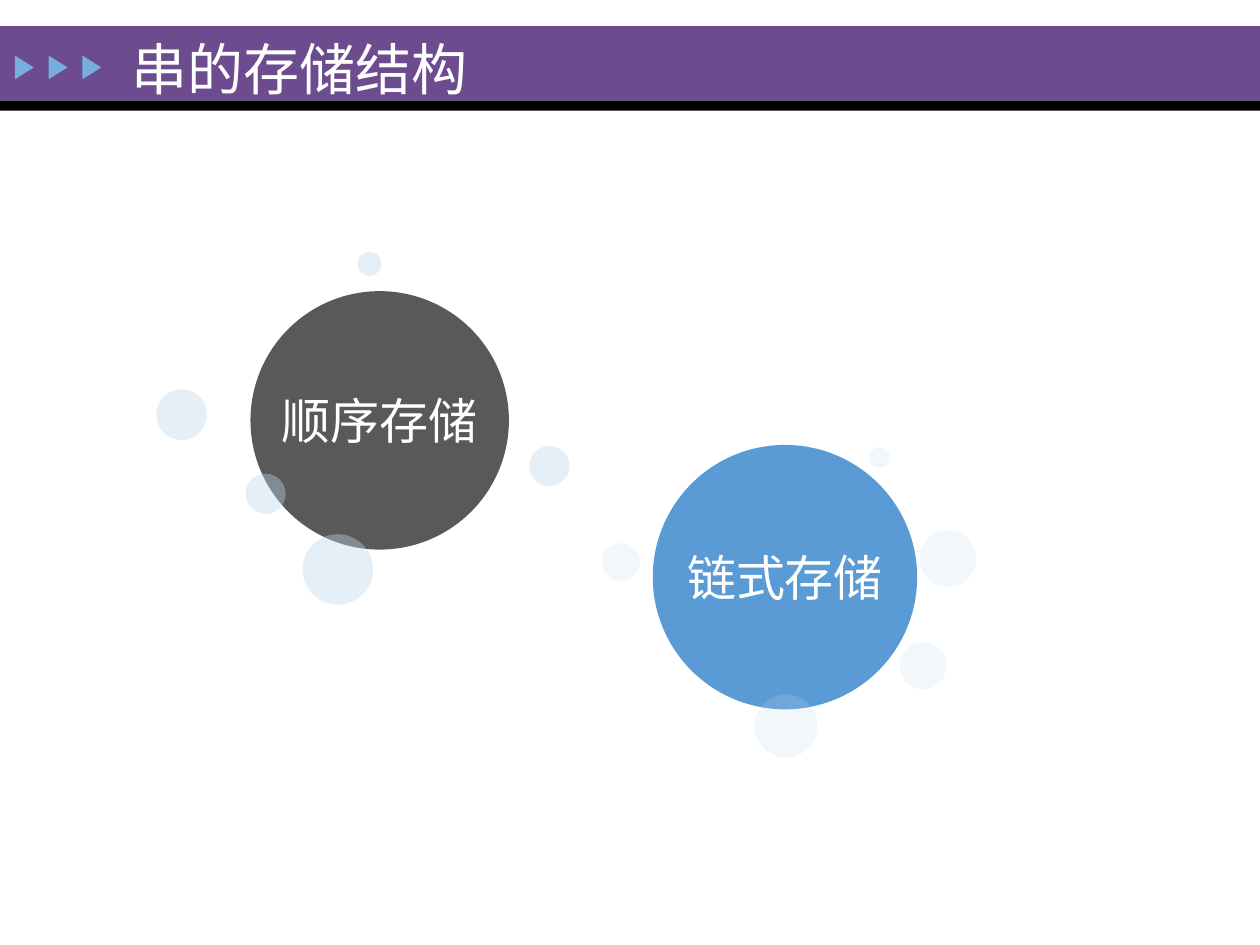
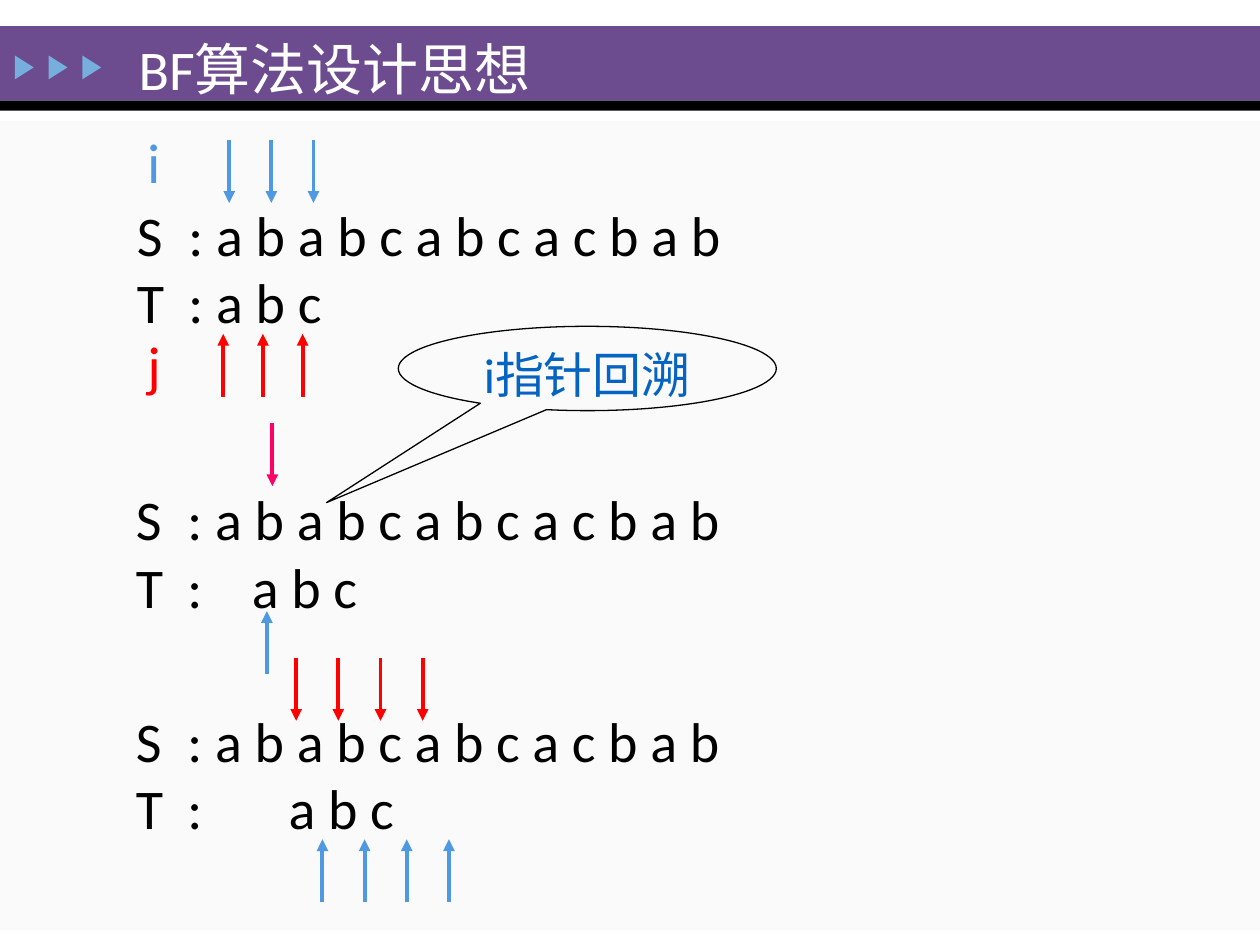
from dataclasses import dataclass

from lxml.etree import SubElement
from pptx import Presentation
from pptx.dml.color import RGBColor
from pptx.enum.shapes import MSO_CONNECTOR, MSO_SHAPE
from pptx.enum.text import MSO_ANCHOR, MSO_AUTO_SIZE, PP_ALIGN
from pptx.oxml.ns import qn
from pptx.presentation import Presentation as Deck
from pptx.shapes.autoshape import Shape
from pptx.slide import Slide, SlideLayout
from pptx.text.text import TextFrame
from pptx.util import Cm, Pt


@dataclass(frozen=True)
class Theme:
    band: str = "6C4C8F"
    black: str = "000000"
    white: str = "FFFFFF"
    mark: str = "76AEDD"
    panel: str = "FAFAFA"
    grey: str = "595959"
    azure: str = "5B9BD5"
    bubble: str = "BDD7EE"
    blue: str = "4F99E2"
    red: str = "FF0000"
    pink: str = "FF0066"
    link: str = "0563C1"
    font: str = "Calibri"
    serif: str = "Times New Roman"
    large: int = 32
    small: int = 28
    arrow: float = 2.25
    thin: float = 0.75


THEME = Theme()


@dataclass(frozen=True)
class Box:
    left: float
    top: float
    width: float
    height: float

    def cms(self) -> tuple[Cm, Cm, Cm, Cm]:
        return Cm(self.left), Cm(self.top), Cm(self.width), Cm(self.height)


@dataclass(frozen=True)
class Disc:
    left: float
    top: float
    size: float

    def box(self) -> Box:
        return Box(self.left, self.top, self.size, self.size)


@dataclass(frozen=True)
class Cluster:
    label: str
    font: str
    fill: str
    core: Disc
    alpha: int
    bubbles: tuple[Disc, ...]


@dataclass(frozen=True)
class Arrows:
    left: float
    start: float
    end: float
    color: str
    count: int = 1
    step: float = 0.85


@dataclass(frozen=True)
class Match:
    box: Box
    shift: int


@dataclass(frozen=True)
class Label:
    text: str
    box: Box
    color: str


CLUSTERS = (
    Cluster("链式存储", THEME.serif, THEME.azure, Disc(13.16, 8.97, 5.33), 20, (
        Disc(12.14, 10.95, 0.76), Disc(15.21, 14, 1.27), Disc(17.53, 9.02, 0.41),
        Disc(18.14, 12.95, 0.94), Disc(18.54, 10.69, 1.14))),
    Cluster("顺序存储", THEME.font, THEME.grey, Disc(5.05, 5.87, 5.21), 40, (
        Disc(10.67, 8.99, 0.81), Disc(4.95, 9.55, 0.81), Disc(6.1, 10.77, 1.42),
        Disc(7.21, 5.08, 0.48), Disc(3.15, 7.85, 1.02))),
)

MATCHES = (
    Match(Box(2.51, 3.91, 20.12, 3), 0),
    Match(Box(2.49, 9.65, 21.39, 3), 1),
    Match(Box(2.49, 14.12, 14.61, 3), 2),
)

LABELS = (
    Label("i", Box(2.72, 2.44, 0.84, 1.6), THEME.blue),
    Label("j", Box(2.72, 6.53, 0.84, 1.63), THEME.red),
)

ARROWS = (
    Arrows(4.62, 2.82, 4.09, THEME.blue, 3),
    Arrows(4.5, 8, 6.73, THEME.red, 3, 0.8),
    Arrows(5.49, 8.53, 9.8, THEME.pink),
    Arrows(5.38, 13.59, 12.32, THEME.blue),
    Arrows(5.97, 13.26, 14.53, THEME.red, 4),
    Arrows(6.5, 18.19, 16.92, THEME.blue, 4),
)


def style(frame: TextFrame, color: str, size: int, font: str = THEME.font,
          align: PP_ALIGN = PP_ALIGN.LEFT) -> None:
    for line in frame.paragraphs:
        line.alignment = align
        for run in line.runs:
            run.font.name = font
            run.font.size = Pt(size)
            run.font.color.rgb = RGBColor.from_string(color)


def add_form(shapes, kind: MSO_SHAPE, box: Box, fill: str | None) -> Shape:
    form = shapes.add_shape(kind, *box.cms())
    form.shadow.inherit = False
    form.line.fill.background()
    if fill:
        form.fill.solid()
        form.fill.fore_color.rgb = RGBColor.from_string(fill)
    else:
        form.fill.background()
    return form


def add_text(slide: Slide, text: str, box: Box, color: str) -> Shape:
    area = slide.shapes.add_textbox(*box.cms())
    frame = area.text_frame
    frame.word_wrap = True
    frame.auto_size = MSO_AUTO_SIZE.SHAPE_TO_FIT_TEXT
    frame.text = text
    style(frame, color, THEME.large)
    return area


def add_banner(slide: Slide, layout: SlideLayout) -> None:
    forms = [
        add_form(slide.shapes, MSO_SHAPE.RECTANGLE, Box(0, 0.53, 25.4, 1.5), THEME.band),
        add_form(slide.shapes, MSO_SHAPE.RECTANGLE, Box(0, 2.03, 25.4, 0.2), THEME.black),
    ]
    for spot in range(3):
        box = Box(0.25 + 0.68 * spot, 1.17, 0.48, 0.38)
        mark = add_form(slide.shapes, MSO_SHAPE.ISOSCELES_TRIANGLE, box, THEME.mark)
        mark.rotation = 90
        forms.append(mark)
    for spot, form in enumerate(forms):
        form.element.nvSpPr.cNvPr.set("id", str(20 + spot))
        layout.shapes.element.insert(2 + spot, form.element)


def set_title(slide: Slide, text: str, left: float, width: float) -> None:
    title = slide.shapes.title
    title.left, title.top, title.width, title.height = Box(left, 0.66, width, 1.42).cms()
    frame = title.text_frame
    frame.text = text
    frame.word_wrap = True
    frame.auto_size = MSO_AUTO_SIZE.NONE
    frame.vertical_anchor = MSO_ANCHOR.MIDDLE
    style(frame, THEME.white, THEME.large)


def add_cluster(slide: Slide, plan: Cluster) -> None:
    group = slide.shapes.add_group_shape()
    core = add_form(group.shapes, MSO_SHAPE.OVAL, plan.core.box(), plan.fill)
    frame = core.text_frame
    frame.text = plan.label
    frame.word_wrap = False
    frame.vertical_anchor = MSO_ANCHOR.MIDDLE
    frame.margin_left = frame.margin_right = Cm(0)
    frame.margin_top = frame.margin_bottom = Cm(0)
    style(frame, THEME.white, THEME.small, plan.font, PP_ALIGN.CENTER)
    for disc in plan.bubbles:
        bubble = add_form(group.shapes, MSO_SHAPE.OVAL, disc.box(), THEME.bubble)
        color = bubble.element.spPr.find(".//" + qn("a:srgbClr"))
        SubElement(color, qn("a:alpha"), val=str(plan.alpha * 1000))


def add_arrows(slide: Slide, plan: Arrows) -> None:
    for spot in range(plan.count):
        left = Cm(plan.left + plan.step * spot)
        arrow = slide.shapes.add_connector(
            MSO_CONNECTOR.STRAIGHT, left, Cm(plan.start), left, Cm(plan.end))
        arrow.line.color.rgb = RGBColor.from_string(plan.color)
        arrow.line.width = Pt(THEME.arrow)
        props = arrow.element.spPr
        SubElement(props.find(qn("a:ln")), qn("a:tailEnd"), type="triangle")
        SubElement(props, qn("a:effectLst"))


def add_match(slide: Slide, plan: Match) -> None:
    text = "S\t:\ta b a b c a b c a c b a b\nT\t:\ta b c"
    area = add_text(slide, text, plan.box, THEME.black)
    for line, shift in zip(area.element.iter(qn("a:p")), (0, plan.shift)):
        tabs = SubElement(line.get_or_add_pPr(), qn("a:tabLst"))
        for stop in (1.04, 1.6 + 0.74 * shift):
            SubElement(tabs, qn("a:tab"), pos=str(Cm(stop)), algn="l")


def add_callout(slide: Slide) -> None:
    box = Box(8.03, 6.58, 7.62, 1.7)
    callout = add_form(slide.shapes, MSO_SHAPE.OVAL_CALLOUT, box, None)
    callout.adjustments[0] = -0.69
    callout.adjustments[1] = 1.59
    callout.line.color.rgb = RGBColor.from_string(THEME.black)
    callout.line.width = Pt(THEME.thin)
    frame = callout.text_frame
    frame.text = "i指针回溯"
    frame.vertical_anchor = MSO_ANCHOR.TOP
    style(frame, THEME.link, THEME.small, align=PP_ALIGN.CENTER)


def add_storage(deck: Deck, layout: SlideLayout) -> None:
    slide = deck.slides.add_slide(layout)
    add_banner(slide, layout)
    set_title(slide, "串的存储结构", 2.39, 14.58)
    for plan in CLUSTERS:
        add_cluster(slide, plan)


def add_search(deck: Deck, layout: SlideLayout) -> None:
    slide = deck.slides.add_slide(layout)
    set_title(slide, "BF算法设计思想", 2.54, 9.78)
    add_form(slide.shapes, MSO_SHAPE.RECTANGLE, Box(0, 2.44, 25.4, 16.31), THEME.panel)
    for plan in MATCHES:
        add_match(slide, plan)
    for label in LABELS:
        add_text(slide, label.text, label.box, label.color)
    for plan in ARROWS:
        add_arrows(slide, plan)
    add_callout(slide)


def main() -> None:
    deck = Presentation()
    deck.slide_width = Cm(25.4)
    deck.slide_height = Cm(19.05)
    layout = deck.slide_layouts[5]
    add_storage(deck, layout)
    add_search(deck, layout)
    deck.save("out.pptx")


if __name__ == "__main__":
    main()
